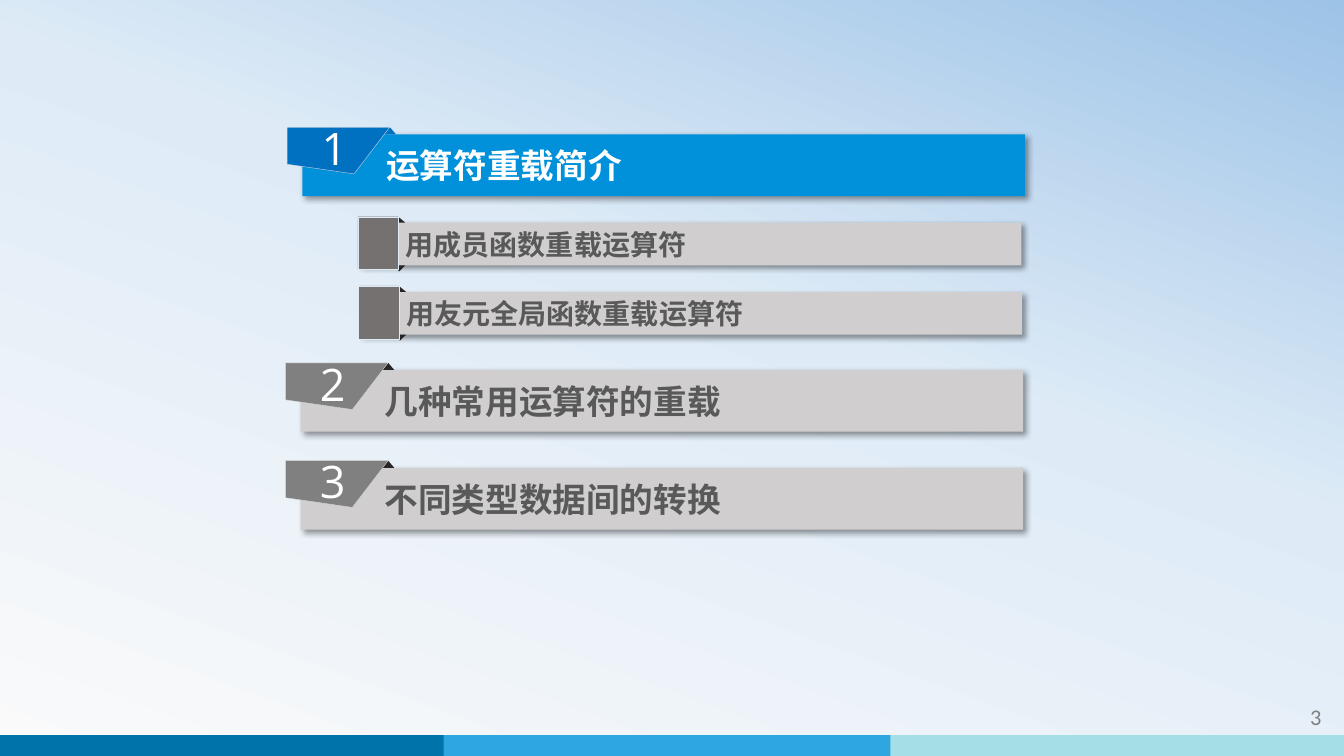
from dataclasses import dataclass

from lxml import etree
from pptx import Presentation
from pptx.dml.color import RGBColor
from pptx.enum.shapes import MSO_SHAPE
from pptx.enum.text import MSO_ANCHOR, PP_ALIGN
from pptx.oxml.ns import qn
from pptx.util import Inches, Pt

RECT, TRIANGLE = MSO_SHAPE.RECTANGLE, MSO_SHAPE.ISOSCELES_TRIANGLE
LEFT, CENTER, RIGHT = PP_ALIGN.LEFT, PP_ALIGN.CENTER, PP_ALIGN.RIGHT
MIDDLE = MSO_ANCHOR.MIDDLE

WHITE = RGBColor(0xFF, 0xFF, 0xFF)
ACTIVE_BAR = RGBColor(0x00, 0x91, 0xDA)
ACTIVE_TAG = RGBColor(0x00, 0x70, 0xC0)
IDLE_BAR = RGBColor(0xD0, 0xCE, 0xCE)
IDLE_TAG = RGBColor(0x80, 0x80, 0x80)
IDLE_TEXT = RGBColor(0x59, 0x59, 0x59)
FOLD = RGBColor(0x26, 0x26, 0x26)
TAB = RGBColor(0x76, 0x71, 0x71)
TAG_EDGE = RGBColor(0xD9, 0xD9, 0xD9)
TAB_EDGE = RGBColor(0xDE, 0xEB, 0xF7)
FOOTER = (RGBColor(0x00, 0x73, 0xAB), RGBColor(0x2E, 0xA7, 0xE0), RGBColor(0xA5, 0xDE, 0xE4))
SKY = ((0, RGBColor(0xFA, 0xFA, 0xFA)), (0.58, TAB_EDGE), (1, RGBColor(0x9D, 0xC3, 0xE6)))

TITLE_FONT, DIGIT_FONT, PAGE_FONT = "Noto Sans CJK SC", "Open Sans", "Calibri"

deck = Presentation()
deck.slide_width, deck.slide_height = Inches(13.33), Inches(7.5)
slide = deck.slides.add_slide(deck.slide_layouts[6])

# Grid of 160 columns by 90 rows
COLUMN, ROW = deck.slide_width / 160, deck.slide_height / 90


@dataclass(frozen=True)
class Box:
    col: float
    row: float
    cols: float
    rows: float

    def emu(self) -> tuple[int, ...]:
        return (round(self.col * COLUMN), round(self.row * ROW),
                round(self.cols * COLUMN), round(self.rows * ROW))


@dataclass(frozen=True)
class Section:
    number: str
    title: str
    col: float
    row: float
    bar: RGBColor = IDLE_BAR
    tag: RGBColor = IDLE_TAG
    fold: RGBColor = FOLD
    ink: RGBColor = IDLE_TEXT


@dataclass(frozen=True)
class Topic:
    title: str
    col: float
    row: float


SECTIONS = (
    Section("1", "运算符重载简介", 36, 16, ACTIVE_BAR, ACTIVE_TAG, ACTIVE_TAG, WHITE),
    Section("2", "几种常用运算符的重载", 35.8, 44.05),
    Section("3", "不同类型数据间的转换", 35.8, 55.7),
)
TOPICS = (Topic("用成员函数重载运算符", 42.8, 26.5), Topic("用友元全局函数重载运算符", 42.9, 34.75))
TAG_OUTLINE = ((0, 0), (12.2, 0), (7.95, 5.55), (0, 4.4))


def paint(shape, fill: RGBColor, edge: RGBColor | None = None) -> None:
    shape.shadow.inherit = False
    shape.fill.solid()
    shape.fill.fore_color.rgb = fill
    if edge is None:
        shape.line.fill.background()
    else:
        shape.line.color.rgb = edge
        shape.line.width = Pt(0.25)


def add_block(kind, box: Box, fill: RGBColor, edge: RGBColor | None = None):
    shape = slide.shapes.add_shape(kind, *box.emu())
    paint(shape, fill, edge)
    return shape


def cast_shadow(shape) -> None:
    effects = shape._element.spPr.find(qn("a:effectLst"))
    shadow = etree.SubElement(effects, qn("a:outerShdw"), blurRad=str(Pt(4)),
                              dist=str(Pt(3)), dir="2700000", algn="tl", rotWithShape="0")
    black = etree.SubElement(shadow, qn("a:srgbClr"), val="000000")
    etree.SubElement(black, qn("a:alpha"), val="40000")


def write(shape, text: str, font: str, size: float, ink: RGBColor, align=LEFT,
          bold: bool = False, **margins: int) -> None:
    frame = shape.text_frame
    frame_format = {"word_wrap": True, "vertical_anchor": MIDDLE, **margins}
    for name, value in frame_format.items():
        setattr(frame, name, value)
    paragraph = frame.paragraphs[0]
    paragraph.alignment = align
    run = paragraph.add_run()
    run.text = text
    for name, value in {"name": font, "size": Pt(size), "bold": bold}.items():
        setattr(run.font, name, value)
    run.font.color.rgb = ink
    etree.SubElement(run._r.get_or_add_rPr(), qn("a:ea"), typeface=font)


def add_bar(box: Box, fill: RGBColor, title: str, size: float, ink: RGBColor,
            indent: float) -> None:
    bar = add_block(RECT, box, fill)
    cast_shadow(bar)
    write(bar, title, TITLE_FONT, size, ink, bold=True, margin_left=round(indent * COLUMN))


def add_section(section: Section) -> None:
    col, row = section.col, section.row
    add_bar(Box(col, row, 86, 7.35), section.bar, section.title, 24, section.ink, 10)
    add_block(TRIANGLE, Box(col + 9.7, row - 0.85, 1.44, 0.85), section.fold)
    corners = [(round((col - 1.8 + x) * COLUMN), round((row - 0.85 + y) * ROW))
               for x, y in TAG_OUTLINE]
    outline = slide.shapes.build_freeform(*corners[0])
    outline.add_line_segments(corners[1:], close=True)
    tag = outline.convert_to_shape()
    paint(tag, section.tag, TAG_EDGE)
    write(tag, section.number, DIGIT_FONT, 32, WHITE, CENTER,
          margin_left=Inches(0.09), margin_top=Inches(0.04),
          margin_right=Inches(0.17), margin_bottom=Inches(0.1))


def add_topic(topic: Topic) -> None:
    col, row = topic.col, topic.row
    add_bar(Box(col, row, 78.8, 5.1), IDLE_BAR, topic.title, 20, IDLE_TEXT, 5.5)
    add_block(TRIANGLE, Box(col + 4, row - 0.6, 1.44, 0.6), FOLD)
    add_block(TRIANGLE, Box(col + 4, row + 5.1, 1.44, 0.7), FOLD).rotation = 180
    add_block(RECT, Box(col - 0.2, row - 0.7, 4.8, 6.3), TAB, TAB_EDGE)


# Background gradient
sky = slide.background.fill
sky.gradient()
stop_list = sky.gradient_stops[0]._gs.getparent()
etree.SubElement(stop_list, qn("a:gs"), pos="100000")
for stop, (position, color) in zip(sky.gradient_stops, SKY):
    stop.position = position
    stop.color.rgb = color
sky.gradient_angle = 70

# Footer band and page number
for index, color in enumerate(FOOTER):
    add_block(RECT, Box(53.2 * index - 0.4, 87.5, 54, 2.5), color)
page_number = slide.shapes.add_textbox(*Box(139.5, 82.9, 19, 4.8).emu())
write(page_number, "3", PAGE_FONT, 16, IDLE_TAG, RIGHT)

# Agenda
for section in SECTIONS:
    add_section(section)
for topic in TOPICS:
    add_topic(topic)

deck.save("out.pptx")
